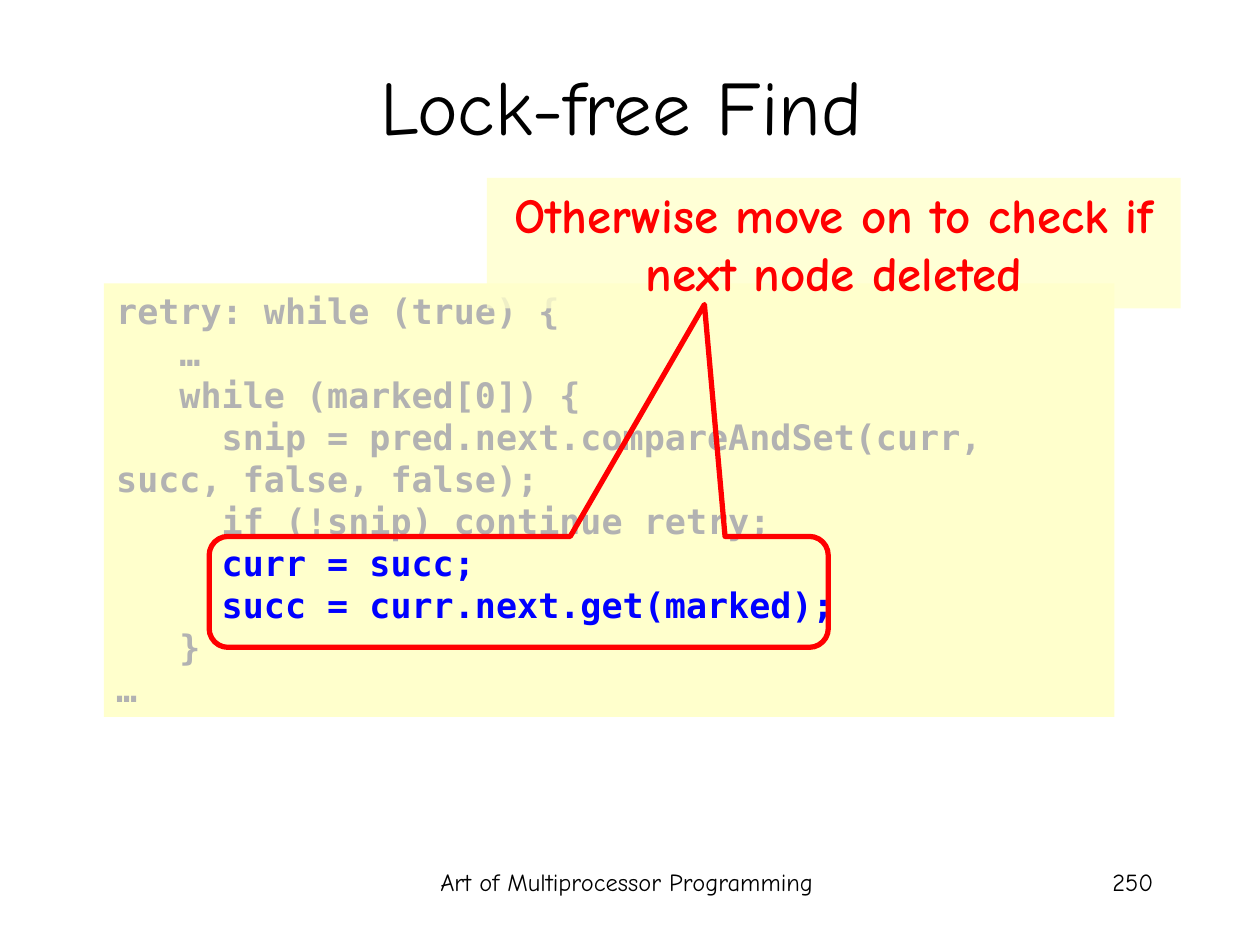
"""Build the "Lock-free Find" slide with highlighted code and a callout."""
from lxml import etree
from pptx import Presentation
from pptx.dml.color import RGBColor
from pptx.enum import shapes, text
from pptx.oxml import ns
from pptx.util import Pt

BLACK = RGBColor(0x00, 0x00, 0x00)
RED = RGBColor(0xFF, 0x00, 0x00)
BLUE = RGBColor(0x00, 0x00, 0xFF)
GRAY = RGBColor(0xB2, 0xB2, 0xB2)
CREAM = RGBColor(0xFF, 0xFF, 0xCC)
BODY_FONT = "Comic Neue"
CODE_FONT = "DejaVu Sans Mono"


def write(box, lines, align, font, size, color, bold=False):
    frame = box.text_frame
    frame.word_wrap = True
    frame.text = "\n".join(lines)
    for para in frame.paragraphs:
        para.alignment = align
        for span in para.runs:
            span.font.name = font
            span.font.size = Pt(size)
            span.font.bold = bold
            span.font.color.rgb = color


def add_panel(page, left, top, width, height):
    panel = page.shapes.add_shape(shapes.MSO_SHAPE.RECTANGLE, Pt(left), Pt(top), Pt(width), Pt(height))
    panel.shadow.inherit = False
    panel.fill.solid()
    panel.fill.fore_color.rgb = CREAM
    panel.line.fill.background()
    panel.text_frame.vertical_anchor = text.MSO_ANCHOR.TOP
    return panel


deck = Presentation()
deck.slide_width, deck.slide_height = Pt(720), Pt(540)
page = deck.slides.add_slide(deck.slide_layouts[5])

footers = [
    ("Art of Multiprocessor Programming", 223.2, 270, text.PP_ALIGN.CENTER),
    ("250", 516.2, 150, text.PP_ALIGN.RIGHT),
]
for label, left, width, align in footers:
    footer = page.shapes.add_textbox(Pt(left), Pt(492), Pt(width), Pt(36))
    write(footer, [label], align, BODY_FONT, 14, BLACK)

title = page.shapes.title
title.left, title.top, title.width, title.height = Pt(49), Pt(15), Pt(612), Pt(90)
title.text_frame.vertical_anchor = text.MSO_ANCHOR.MIDDLE
write(title, ["Lock-free Find"], text.PP_ALIGN.CENTER, BODY_FONT, 44, BLACK)

code_lines = [
    "retry: while (true) {",
    "   …",
    "   while (marked[0]) {",
    "     snip = pred.next.compareAndSet(curr, succ, false, false);",
    "     if (!snip) continue retry;",
    "     curr = succ;",
    "     succ = curr.next.get(marked);",
    "   }",
    "…",
]
code = add_panel(page, 59.3, 162, 577.5, 247.7)
write(code, code_lines, text.PP_ALIGN.LEFT, CODE_FONT, 20, GRAY, bold=True)
for para in code.text_frame.paragraphs:
    para.line_spacing = Pt(24)
for para in code.text_frame.paragraphs[5:7]:
    para.runs[0].font.color.rgb = BLUE

note = add_panel(page, 278.2, 101.7, 396.5, 74.5)
note_color = note.fill._xPr.find(".//" + ns.qn("a:srgbClr"))
etree.SubElement(note_color, ns.qn("a:alpha"), val="80000")
write(note, ["Otherwise move on to check if next node deleted"],
      text.PP_ALIGN.CENTER, BODY_FONT, 28, RED, bold=True)

callout = page.shapes.add_shape(
    shapes.MSO_SHAPE.ROUNDED_RECTANGULAR_CALLOUT, Pt(119.5), Pt(306.5), Pt(353.8), Pt(63.4))
callout.shadow.inherit = False
callout.fill.background()
callout.line.color.rgb = RED
callout.line.width = Pt(3)
for index, value in enumerate([0.3, -2.59, 0.17]):
    callout.adjustments[index] = value

deck.save("out.pptx")
